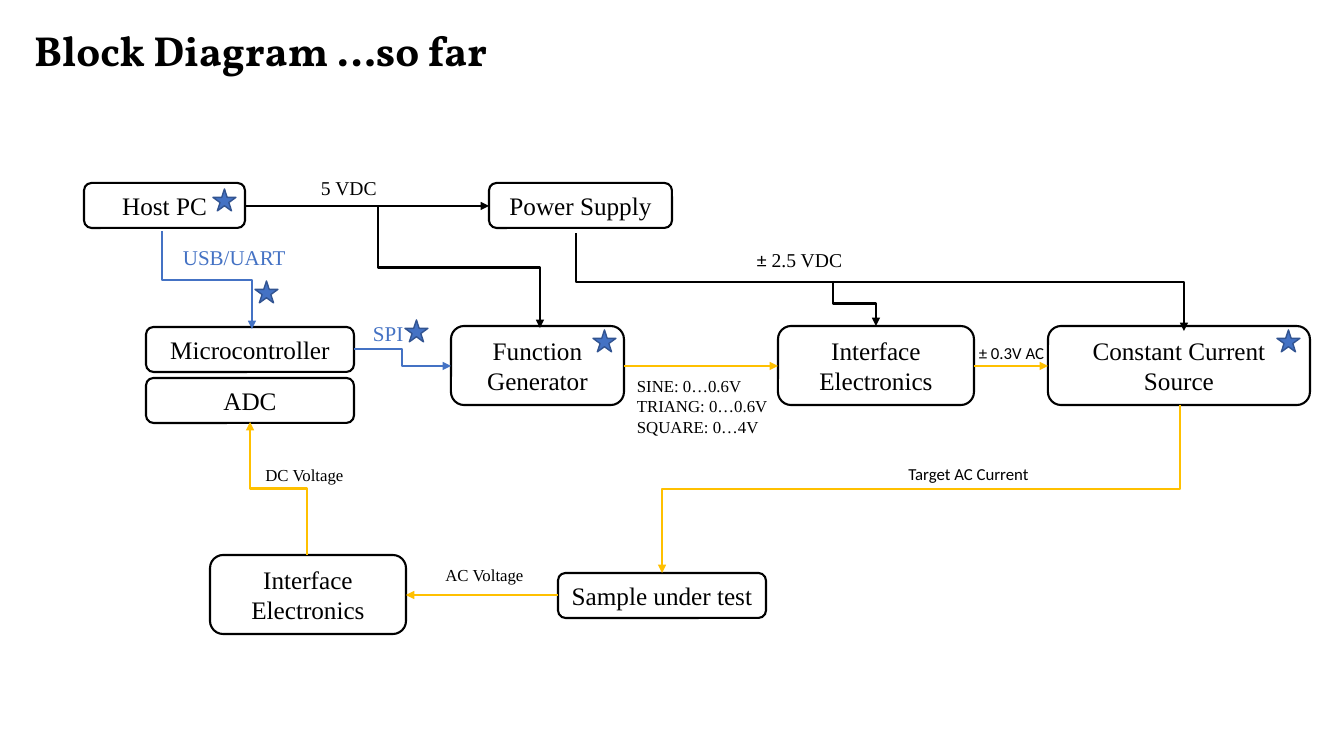
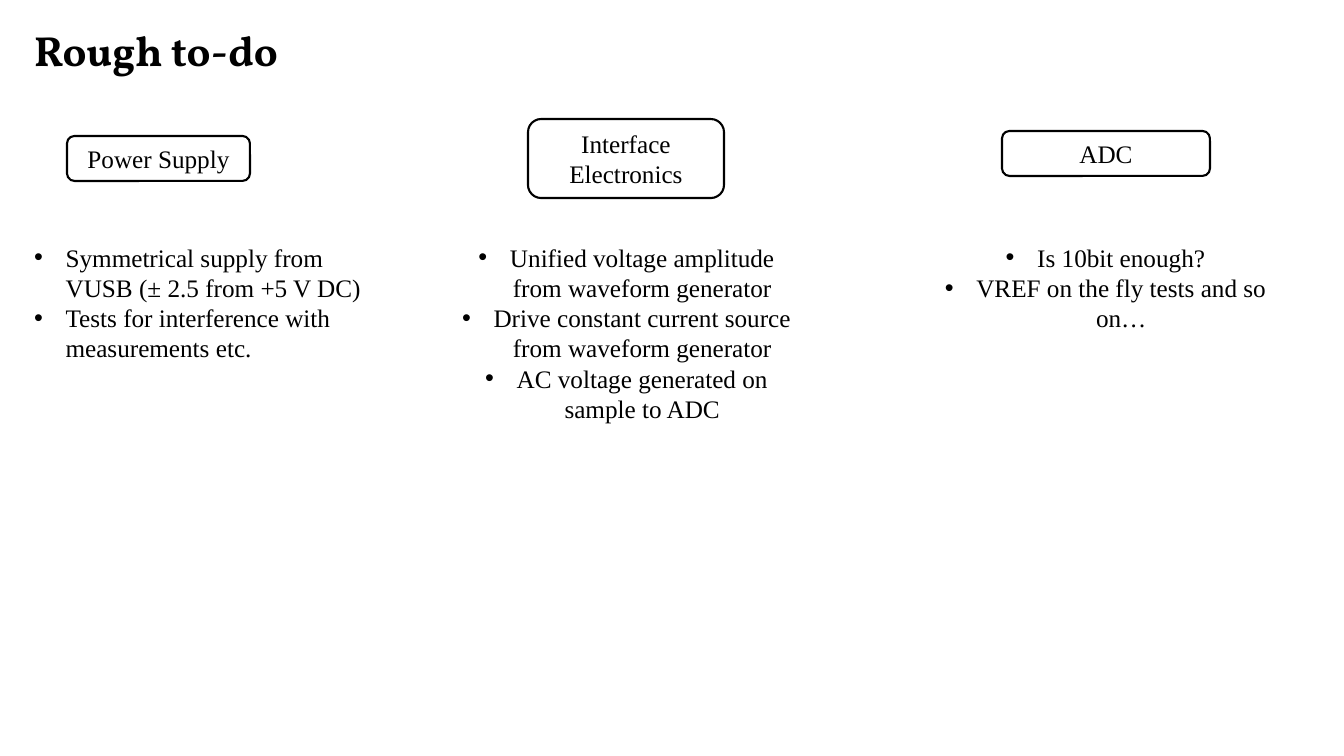
import pptx
import pptx.util
import pptx.dml.color
import pptx.enum.shapes
import pptx.enum.text
import pptx.oxml.ns
from lxml import etree

Pt = pptx.util.Pt
RGBColor = pptx.dml.color.RGBColor
Preset = pptx.enum.shapes.MSO_SHAPE
Connector = pptx.enum.shapes.MSO_CONNECTOR
Align = pptx.enum.text.PP_ALIGN
Anchor = pptx.enum.text.MSO_ANCHOR
AutoSize = pptx.enum.text.MSO_AUTO_SIZE
qn = pptx.oxml.ns.qn

# Shared style
PIXEL = 914400 / 100.8
BLACK = RGBColor(0x00, 0x00, 0x00)
WHITE = RGBColor(0xFF, 0xFF, 0xFF)
BLUE = RGBColor(0x44, 0x72, 0xC4)
DARK_BLUE = RGBColor(0x32, 0x54, 0x91)
AMBER = RGBColor(0xFF, 0xC0, 0x00)
SERIF, SANS, DISPLAY = "Times New Roman", "Calibri", "Vollkorn"
TITLE_AREA = (24, 22, 1008, 59)


def write_text(shape, text, size, font=SERIF, color=BLACK, align=Align.LEFT,
               anchor=Anchor.TOP, auto_size=AutoSize.SHAPE_TO_FIT_TEXT, bold=False):
    frame = shape.text_frame
    frame.text = text
    for name, value in {"word_wrap": True, "auto_size": auto_size,
                        "vertical_anchor": anchor}.items():
        setattr(frame, name, value)
    for paragraph in frame.paragraphs:
        paragraph.alignment = align
        paragraph.space_before = Pt(0)
        for run in paragraph.runs:
            run.font.color.rgb = color
            for name, value in {"size": Pt(size), "name": font, "bold": bold}.items():
                setattr(run.font, name, value)


def add_preset(slide, preset, area, fill, line, width):
    shape = slide.shapes.add_shape(preset, *[round(length * PIXEL) for length in area])
    shape.shadow.inherit = False
    shape.fill.solid()
    shape.fill.fore_color.rgb = fill
    shape.line.color.rgb = line
    shape.line.width = Pt(width)
    return shape


presentation = pptx.Presentation()
presentation.slide_width = round(1344 * PIXEL)
presentation.slide_height = round(756 * PIXEL)

# Slides with their titles and boxes
TITLE_ONLY, COMPARISON = 5, 4
slide_contents = [
    ("Block Diagram …so far", TITLE_ONLY, [
        ("Host PC", 84, 183, 161, 45),
        ("Power Supply", 489, 183, 183, 45),
        ("Microcontroller", 146, 327, 208, 45),
        ("ADC", 146, 378, 208, 45),
        ("Function Generator", 451, 326, 173, 79),
        ("Interface\nElectronics", 778, 326, 196, 79),
        ("Constant Current Source", 1048, 326, 262, 79),
        ("Sample under test", 558, 573, 208, 45),
        ("Interface\nElectronics", 210, 555, 196, 79),
    ]),
    ("Rough to-do", COMPARISON, [
        ("Power Supply", 67, 136, 183, 45),
        ("Interface\nElectronics", 528, 119, 196, 79),
        ("ADC", 1002, 131, 208, 45),
    ]),
]
for title_text, layout, boxes in slide_contents:
    slide = presentation.slides.add_slide(presentation.slide_layouts[layout])
    title = slide.shapes.title
    for name, length in zip(("left", "top", "width", "height"), TITLE_AREA):
        setattr(title, name, round(length * PIXEL))
    write_text(title, title_text, 30, DISPLAY, anchor=Anchor.BOTTOM,
               auto_size=AutoSize.NONE, bold=True)
    title.text_frame.paragraphs[0].line_spacing = 0.9
    for text, *area in boxes:
        box = add_preset(slide, Preset.ROUNDED_RECTANGLE, area, WHITE, BLACK, 1.5)
        write_text(box, text, 18, align=Align.CENTER, anchor=Anchor.MIDDLE)
diagram, todo = presentation.slides

# Diagram arrows: straight, or bent halfway after leaving across or vertically
arrows = [
    ("straight", BLACK, 245, 206, 489, 206),
    ("vertical", BLUE, 162, 231, 252, 329),
    ("vertical", BLACK, 576, 233, 1184, 331),
    ("vertical", BLACK, 378, 207, 540, 328),
    ("vertical", BLACK, 833, 281, 876, 326),
    ("across", BLUE, 354, 349, 451, 366),
    ("straight", AMBER, 624, 366, 778, 366),
    ("straight", AMBER, 974, 366, 1048, 366),
    ("vertical", AMBER, 1180, 405, 662, 573),
    ("straight", AMBER, 558, 595, 406, 595),
    ("vertical", AMBER, 307, 555, 250, 422),
]
for route, color, x1, y1, x2, y2 in arrows:
    kind = Connector.STRAIGHT if route == "straight" else Connector.ELBOW
    ends = (x1, y1, x2, y2)
    if route == "vertical":
        # A quarter turn about the centre swaps width and height
        middle_x, middle_y = (x1 + x2) / 2, (y1 + y2) / 2
        half_width, half_height = abs(y2 - y1) / 2, abs(x2 - x1) / 2
        if (x2 - x1) * (y2 - y1) > 0:
            half_height = -half_height
        ends = (middle_x - half_width, middle_y - half_height,
                middle_x + half_width, middle_y + half_height)
    arrow = diagram.shapes.add_connector(kind, *[round(end * PIXEL) for end in ends])
    arrow.line.color.rgb = color
    arrow.line.width = Pt(1.5)
    properties = arrow.element.spPr
    if route == "vertical":
        properties.find(qn("a:xfrm")).set("rot", str((90 if y2 > y1 else 270) * 60000))
    etree.SubElement(properties.find(qn("a:ln")), qn("a:tailEnd"), type="triangle")
    etree.SubElement(properties, qn("a:effectLst"))

# Diagram labels
labels = [
    ("SINE: 0…0.6V\nTRIANG: 0…0.6V\nSQUARE: 0…4V", 12, SERIF, BLACK, Align.LEFT, 627, 371, 172, 72),
    ("5 VDC", 14, SERIF, BLACK, Align.LEFT, 311, 171, 138, 34),
    ("USB/UART", 15, SERIF, BLUE, Align.LEFT, 173, 240, 208, 35),
    ("SPI", 15, SERIF, BLUE, Align.LEFT, 363, 316, 208, 35),
    ("± 0.3V AC", 12, SANS, BLACK, Align.LEFT, 969, 338, 107, 30),
    ("Target AC Current", 12, SANS, BLACK, Align.CENTER, 870, 459, 197, 30),
    ("AC Voltage", 12, SERIF, BLACK, Align.CENTER, 386, 560, 197, 30),
    ("DC Voltage", 12, SERIF, BLACK, Align.CENTER, 206, 460, 197, 30),
    ("±", 14, SANS, BLACK, Align.LEFT, 747, 243, 172, 34),
]
for text, size, font, color, align, *area in labels:
    label = diagram.shapes.add_textbox(*[round(length * PIXEL) for length in area])
    write_text(label, text, size, font, color, align)

# The supply label, last in the list, continues in the serif font
supply_run = label.text_frame.paragraphs[0].add_run()
supply_run.text = " 2.5 VDC"
supply_run.font.color.rgb = BLACK
for name, value in {"size": Pt(14), "name": SERIF}.items():
    setattr(supply_run.font, name, value)

# Diagram stars
for left, top in [(213, 189), (593, 330), (1277, 330), (405, 320), (255, 281)]:
    add_preset(diagram, Preset.STAR_5_POINT, (left, top, 23, 22), BLUE, DARK_BLUE, 1)

# To-do lists in the body placeholders
lists = [
    (1, 24, 132, Align.LEFT, ["Symmetrical supply from VUSB (± 2.5 from +5 V DC)",
                              "Tests for interference with measurements etc."]),
    (2, 445, 194, Align.CENTER, ["Unified voltage amplitude from waveform generator",
                                 "Drive constant current source from waveform generator",
                                 "AC voltage generated on sample to ADC"]),
    (4, 924, 102, Align.CENTER, ["Is 10bit enough?",
                                 "VREF on the fly tests and so on…"]),
]
indent = round(31.5 * PIXEL)
for index, left, height, align, items in lists:
    body = todo.placeholders[index]
    for name, length in {"left": left, "top": 237, "width": 363, "height": height}.items():
        setattr(body, name, round(length * PIXEL))
    write_text(body, "\n".join(items), 18, align=align)
    for paragraph in body.text_frame.paragraphs:
        paragraph_properties = paragraph._p.get_or_add_pPr()
        paragraph_properties.set("marL", str(indent))
        paragraph_properties.set("indent", str(-indent))
        etree.SubElement(paragraph_properties, qn("a:buFont"), typeface="Arial")
        etree.SubElement(paragraph_properties, qn("a:buChar"), char="•")
unused = todo.placeholders[3].element
unused.getparent().remove(unused)

presentation.save("out.pptx")
